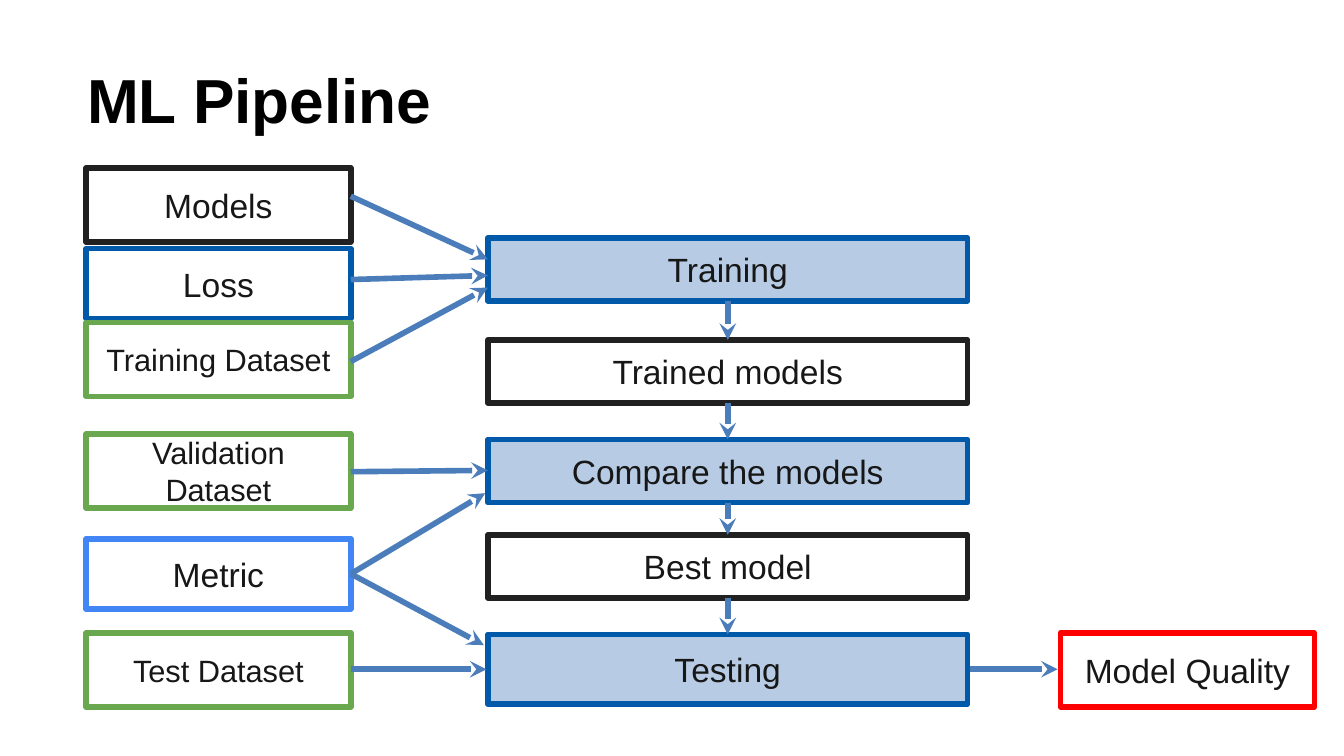
"""Build the ML Pipeline slide."""
from lxml.etree import SubElement
from pptx import Presentation
from pptx.dml.color import RGBColor
from pptx.enum.shapes import MSO_CONNECTOR as Connector, MSO_SHAPE as Shape
from pptx.enum.text import MSO_ANCHOR as Anchor, PP_ALIGN as Align
from pptx.oxml.ns import qn
from pptx.util import Inches, Pt


def rgb(value):
    return RGBColor.from_string(value)


def write(box, text, size=18, color="171717", bold=False, align=Align.CENTER,
          anchor=Anchor.MIDDLE, inset=0.0):
    frame = box.text_frame
    frame.word_wrap = True
    frame.vertical_anchor = anchor
    frame.margin_left = frame.margin_right = Inches(0.1)
    frame.margin_top = frame.margin_bottom = Inches(inset)
    para = frame.paragraphs[0]
    para.alignment = align
    span = para.add_run()
    span.text = text
    span.font.name = "Arial"
    span.font.size = Pt(size)
    span.font.bold = bold
    span.font.color.rgb = rgb(color)


BLACK, BLUE, GREEN = "212121", "0059A9", "6AA84F"
BRIGHT_BLUE, RED = "4285F4", "FF0000"
STEP_FILL, ARROW = "B7CCE4", "4A7DBA"
INPUT_LEFT, INPUT_WIDTH = 0.64, 1.97
STEP_LEFT, STEP_WIDTH = 3.63, 3.57
INPUT_RIGHT = INPUT_LEFT + INPUT_WIDTH
STEP_MIDDLE = STEP_LEFT + STEP_WIDTH / 2

deck = Presentation()
deck.slide_width, deck.slide_height = Inches(10), Inches(10 * 9 / 16)
page = deck.slides.add_slide(deck.slide_layouts[6])

title = page.shapes.add_textbox(Inches(0.55), Inches(0.36), Inches(9.32), Inches(1.2))
write(title, "ML Pipeline", size=33.3, color="000000", bold=True,
      align=Align.LEFT, anchor=Anchor.TOP, inset=0.1)

inputs = [
    ("Models", 1.25, 0.55, BLACK, 18),
    ("Loss", 1.85, 0.52, BLUE, 18),
    ("Training Dataset", 2.4, 0.55, GREEN, 16.5),
    ("Validation Dataset", 3.23, 0.55, GREEN, 16.5),
    ("Metric", 4.01, 0.52, BRIGHT_BLUE, 18),
    ("Test Dataset", 4.71, 0.55, GREEN, 16.5),
]
steps = [
    ("Training", 1.77, 0.47, BLUE),
    ("Trained models", 2.53, 0.47, BLACK),
    ("Compare the models", 3.27, 0.47, BLUE),
    ("Best model", 3.98, 0.47, BLACK),
    ("Testing", 4.72, 0.52, BLUE),
]
boxes = [(INPUT_LEFT, INPUT_WIDTH, *entry) for entry in inputs]
boxes += [(STEP_LEFT, STEP_WIDTH, *step, 18) for step in steps]
boxes.append((7.89, 1.89, "Model Quality", 4.71, 0.55, RED, 18))

for left, width, text, top, height, color, size in boxes:
    box = page.shapes.add_shape(Shape.RECTANGLE, Inches(left), Inches(top),
                                Inches(width), Inches(height))
    box.shadow.inherit = False
    box.line.color.rgb = rgb(color)
    box.line.width = Pt(3)
    if left == STEP_LEFT and color == BLUE:
        box.fill.solid()
        box.fill.fore_color.rgb = rgb(STEP_FILL)
    else:
        box.fill.background()
    write(box, text, size=size)

arrows = [
    (INPUT_RIGHT, 1.46, STEP_LEFT, 1.93),
    (INPUT_RIGHT, 2.08, STEP_LEFT, 2.05),
    (INPUT_RIGHT, 2.69, STEP_LEFT, 2.14),
    (INPUT_RIGHT, 3.51, STEP_LEFT, 3.5),
    (INPUT_RIGHT, 4.27, 3.61, 3.67),
    (INPUT_RIGHT, 4.27, 3.6, 4.8),
    (INPUT_RIGHT, 4.98, 3.62, 4.98),
    (7.22, 4.98, 7.87, 4.98),
]
for (_, top, height, _), (_, next_top, _, _) in zip(steps, steps[1:]):
    arrows.append((STEP_MIDDLE, top + height, STEP_MIDDLE, next_top))

for ends in arrows:
    arrow = page.shapes.add_connector(Connector.STRAIGHT, *map(Inches, ends))
    arrow.line.color.rgb = rgb(ARROW)
    arrow.line.width = Pt(3)
    SubElement(arrow.line._get_or_add_ln(), qn("a:tailEnd"), type="stealth")
    SubElement(arrow._element.spPr, qn("a:effectLst"))

deck.save("out.pptx")
